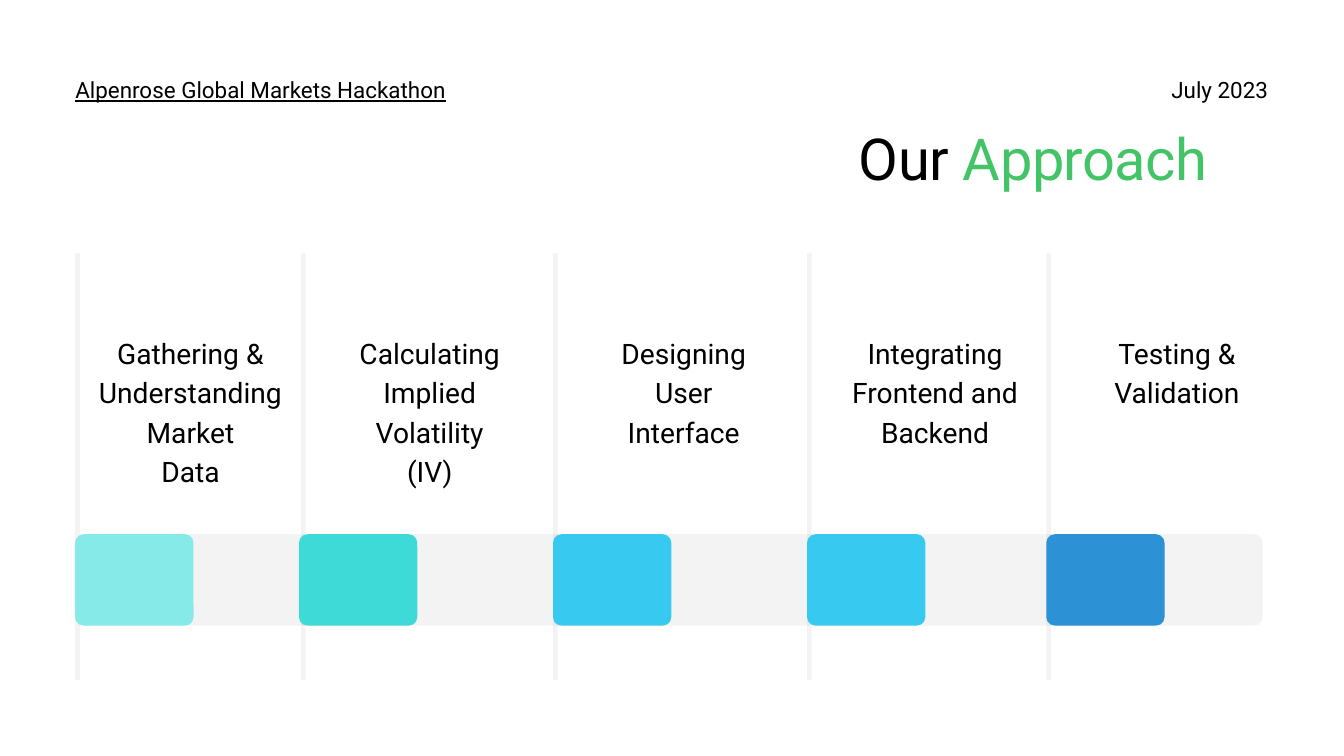
from lxml import etree
from pptx import Presentation, util as u
from pptx.dml.color import RGBColor
from pptx.enum import shapes, text
from pptx.oxml.ns import qn

WIDTH, HEIGHT = 20, 11.25
FONT = "Roboto"
INK, GREEN = "000000", "43C466"
MARGIN = 1.12
RAIL_TOP, RAIL_HEIGHT, RADIUS = 7.95, 1.36, 0.125
DIVIDER_TOP, DIVIDER_WIDTH, DIVIDER_HEIGHT = 3.77, 0.07, 6.35
STEP_TOP, STEP_WIDTH, STEP_LINE = 4.92, 2.95, 42.3
BLOCK_WIDTH = 1.76

# Divider left, block left, label left, block colour, label paragraphs
STEPS = [
    (MARGIN, MARGIN, 1.36, "86EAE9", ["Gathering &", "Understanding Market", "Data"]),
    (4.48, 4.45, 4.92, "3EDAD8", ["Calculating Implied Volatility", "(IV)"]),
    (8.23, 8.23, 8.7, "37C9EF", ["Designing", "User", "Interface"]),
    (12.01, 12.01, 12.44, "37C9EF", ["Integrating Frontend and Backend"]),
    (15.57, 15.57, 16.04, "2C92D5", ["Testing & Validation"]),
]


def color(hex_code):
    return RGBColor.from_string(hex_code)


def add_panel(slide, left, top, width, height, fill, radius=0, opacity=100):
    """Borderless rectangle, rounded when a radius is given."""
    kind = shapes.MSO_SHAPE.ROUNDED_RECTANGLE if radius else shapes.MSO_SHAPE.RECTANGLE
    panel = slide.shapes.add_shape(kind, *map(u.Inches, (left, top, width, height)))
    if radius:
        panel.adjustments[0] = radius / min(width, height)
    panel.shadow.inherit = False
    panel.line.fill.background()
    panel.fill.solid()
    panel.fill.fore_color.rgb = color(fill)
    if opacity < 100:
        srgb = panel._element.spPr.find(qn("a:solidFill")).find(qn("a:srgbClr"))
        etree.SubElement(srgb, qn("a:alpha")).set("val", str(opacity * 1000))


def prepare_frame(frame):
    frame.margin_left = frame.margin_right = frame.margin_top = frame.margin_bottom = 0
    frame.word_wrap = True
    frame.auto_size = text.MSO_AUTO_SIZE.NONE
    frame.vertical_anchor = text.MSO_ANCHOR.TOP


def add_run(paragraph, words, size, ink=INK, underline=None):
    run = paragraph.add_run()
    run.text = words
    run.font.name = FONT
    run.font.size = u.Pt(size)
    run.font.color.rgb = color(ink)
    run.font.underline = underline
    return run


def add_label(slide, left, top, width, height, lines, size, leading, align, underline=None):
    box = slide.shapes.add_textbox(*map(u.Inches, (left, top, width, height)))
    frame = box.text_frame
    prepare_frame(frame)
    for index, line in enumerate(lines):
        paragraph = frame.add_paragraph() if index else frame.paragraphs[0]
        paragraph.alignment = align
        paragraph.line_spacing = u.Pt(leading)
        add_run(paragraph, line, size, underline=underline)


def set_title(slide, parts):
    title = slide.shapes.title
    title.left, title.top, title.width, title.height = map(u.Inches, (12.78, 2, 5.78, 0.9))
    prepare_frame(title.text_frame)
    paragraph = title.text_frame.paragraphs[0]
    paragraph.alignment = text.PP_ALIGN.LEFT
    paragraph.line_spacing = u.Pt(62)
    for words, ink in parts:
        run = add_run(paragraph, words, 62, ink)
        run.font._element.set("spc", "-60")


def main():
    deck = Presentation()
    deck.slide_width, deck.slide_height = u.Inches(WIDTH), u.Inches(HEIGHT)
    slide = deck.slides.add_slide(deck.slide_layouts[5])
    align = text.PP_ALIGN

    # Header
    set_title(slide, [("Our ", INK), ("Approach", GREEN)])
    add_label(slide, MARGIN, 1.07, 5.89, 0.44, ["Alpenrose Global Markets Hackathon"],
              24, 33.6, align.LEFT, underline=True)
    add_label(slide, 14.57, 1.07, 4.3, 0.44, ["July 2023"], 24, 33.6, align.RIGHT)

    # Timeline rail and dividers
    add_panel(slide, MARGIN, RAIL_TOP, 17.67, RAIL_HEIGHT, "191919", RADIUS, opacity=5)
    for divider, *_ in STEPS:
        add_panel(slide, divider, DIVIDER_TOP, DIVIDER_WIDTH, DIVIDER_HEIGHT,
                  "191919", opacity=5)

    # Steps
    for _, block, label, fill, lines in STEPS:
        add_panel(slide, block, RAIL_TOP, BLOCK_WIDTH, RAIL_HEIGHT, fill, RADIUS)
        add_label(slide, label, STEP_TOP, STEP_WIDTH, 2.32, lines,
                  30.2, STEP_LINE, align.CENTER)

    deck.save("out.pptx")


if __name__ == "__main__":
    main()
